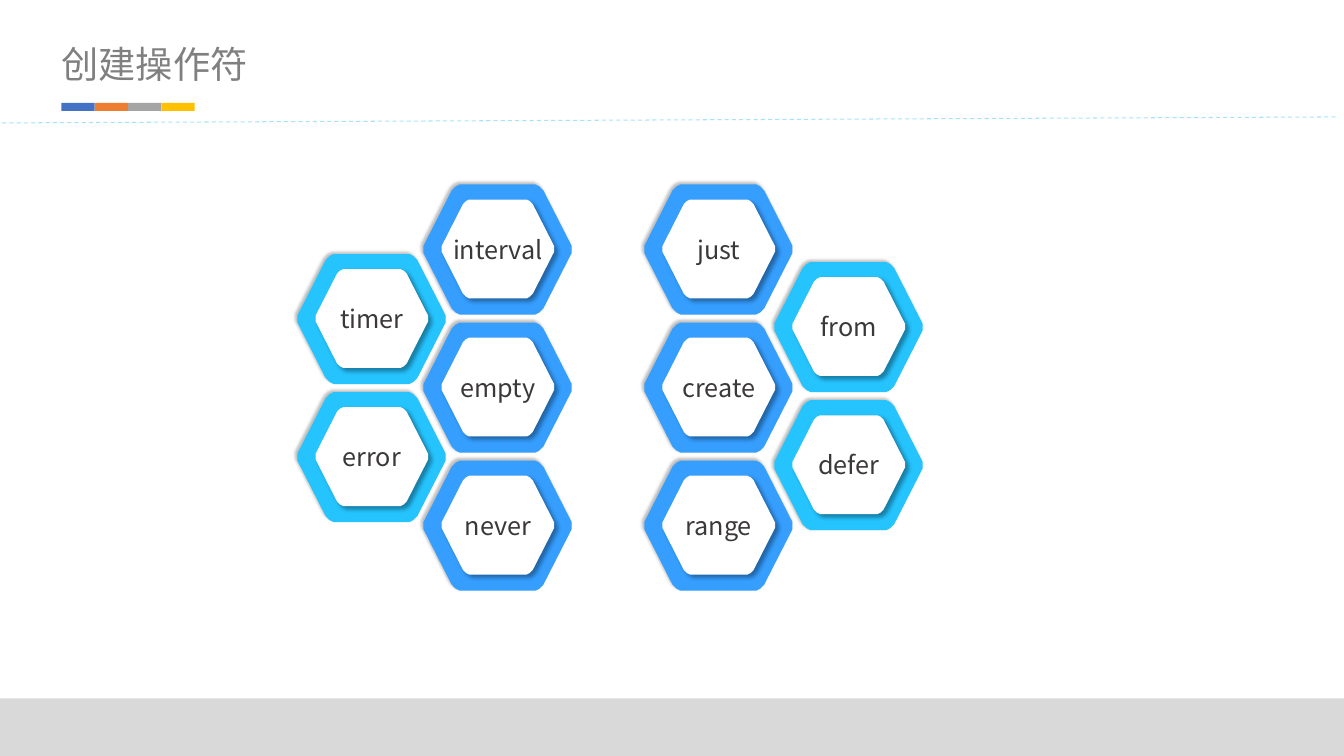
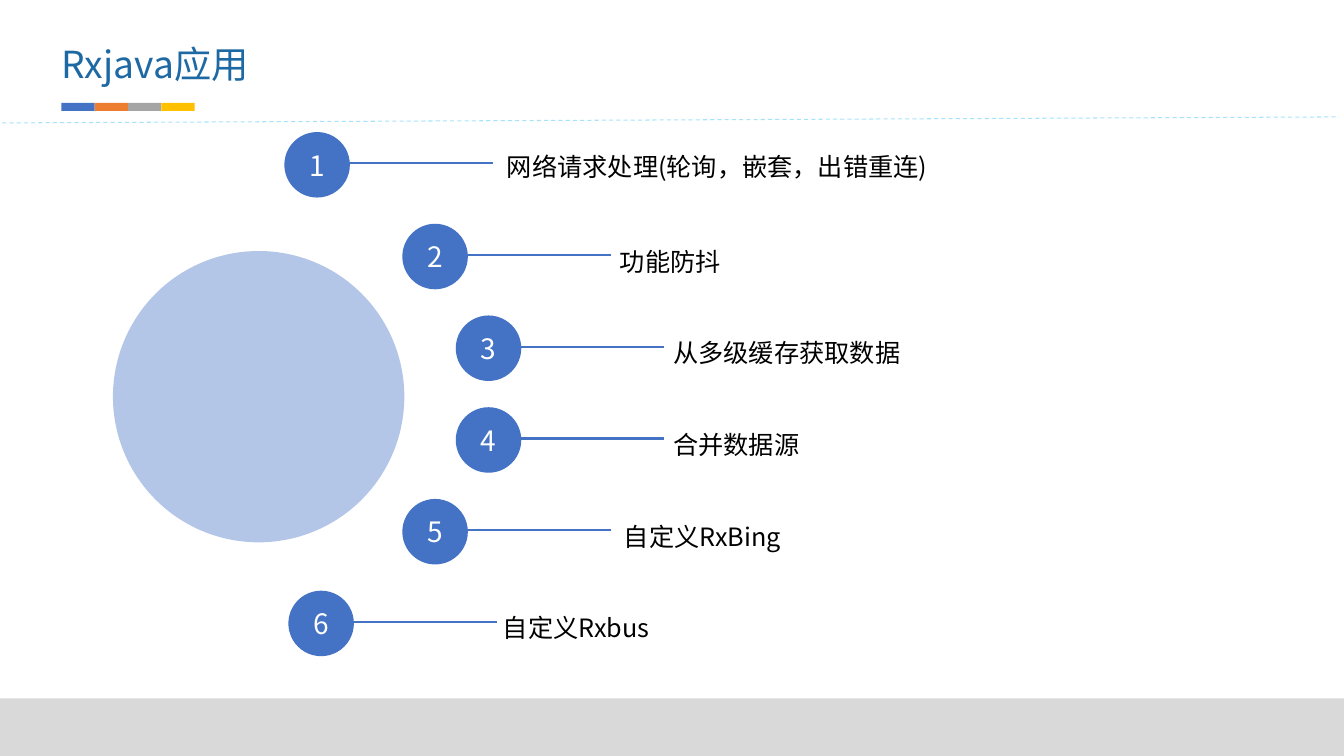
from dataclasses import dataclass

from lxml import etree
from pptx import Presentation
from pptx.dml.color import RGBColor
from pptx.enum.dml import MSO_LINE
from pptx.enum.shapes import MSO_CONNECTOR, MSO_SHAPE
from pptx.enum.text import MSO_ANCHOR, MSO_AUTO_SIZE, PP_ALIGN
from pptx.oxml.ns import qn
from pptx.util import Emu, Pt

RECTANGLE, OVAL = MSO_SHAPE.RECTANGLE, MSO_SHAPE.OVAL
STRAIGHT, DASH = MSO_CONNECTOR.STRAIGHT, MSO_LINE.DASH
LEFT, CENTER = PP_ALIGN.LEFT, PP_ALIGN.CENTER
TOP, MIDDLE = MSO_ANCHOR.TOP, MSO_ANCHOR.MIDDLE
FIT_SHAPE = MSO_AUTO_SIZE.SHAPE_TO_FIT_TEXT

# Scale: 100 px to the inch
EMU_PER_PX = 9144
PAGE_WIDTH, PAGE_HEIGHT = 1333, 750

# Shared look
FONT, NARROW_FONT = "Noto Sans CJK SC", "Arial Narrow"
WHITE, BLACK, GREY, DARK = "FFFFFF", "000000", "808080", "3B3838"
BAND, RULE, TITLE_BLUE = "D9D9D9", "00B0F0", "1D69A3"
BLUE, SKY, CYAN = "4472C4", "359EFF", "25C4FF"
STRIPES = (BLUE, "ED7D31", "A5A5A5", "FFC000")

# Hexagon geometry
HEX_WIDTH, HEX_HEIGHT, HEX_STEP = 147, 129, 137
INNER_SCALE, INNER_LEFT, INNER_TOP = 0.76, 18, 15
HEX_CORNER = [(0, 64), (0, 61), (28, 6), (32, 2), (36, 0)]

# Numbered list geometry
DISC_SIZE, ITEM_TOP, ITEM_STEP = 65, 131, 91


@dataclass(frozen=True)
class Shadow:
    opacity: int
    blur: int
    distance: int
    angle: int


@dataclass(frozen=True)
class HexColumn:
    left: int
    top: int
    color: str
    labels: tuple[str, ...]


@dataclass(frozen=True)
class Item:
    disc_left: int
    text_left: int
    text: str
    text_drop: int = 2


OUTER_SHADOW = Shadow(25, 2, 2, 225)
INNER_SHADOW = Shadow(35, 3, 3, 45)

HEX_COLUMNS = (
    HexColumn(639, 183, SKY, ("just", "create", "range")),
    HexColumn(768, 260, CYAN, ("from", "defer")),
    HexColumn(420, 183, SKY, ("interval", "empty", "never")),
    HexColumn(295, 252, CYAN, ("timer", "error")),
)

ITEMS = (
    Item(282, 493, "网络请求处理(轮询，嵌套，出错重连)", -1),
    Item(399, 605, "功能防抖"),
    Item(452, 658, "从多级缓存获取数据"),
    Item(452, 658, "合并数据源"),
    Item(399, 609, "自定义RxBing"),
    Item(286, 489, "自定义Rxbus"),
)


# Basic helpers
def px(length: float) -> Emu:
    return Emu(round(length * EMU_PER_PX))


def rgb(color: str) -> RGBColor:
    return RGBColor.from_string(color)


def paint(shape, color: str) -> None:
    shape.shadow.inherit = False
    shape.fill.solid()
    shape.fill.fore_color.rgb = rgb(color)
    shape.line.fill.background()


def set_opacity(item, percent: int) -> None:
    for color in item.element.spPr.iter(qn("a:srgbClr")):
        etree.SubElement(color, qn("a:alpha"), val=str(percent * 1000))


def cast_shadow(shape, shadow: Shadow) -> None:
    effects = shape.element.spPr.find(qn("a:effectLst"))
    outer = etree.SubElement(
        effects, qn("a:outerShdw"),
        blurRad=str(Pt(shadow.blur)), dist=str(Pt(shadow.distance)),
        dir=str(shadow.angle * 60000), algn="ctr", rotWithShape="0",
    )
    color = etree.SubElement(outer, qn("a:srgbClr"), val=BLACK)
    etree.SubElement(color, qn("a:alpha"), val=str(shadow.opacity * 1000))


def write(box, text: str, size: float, color: str, align=LEFT, font: str = FONT):
    frame = box.text_frame
    frame.text = text
    frame.word_wrap = True
    paragraph = frame.paragraphs[0]
    paragraph.alignment = align
    for span in paragraph.runs:
        span.font.name = font
        span.font.size = Pt(size)
        span.font.color.rgb = rgb(color)
        east_asian = etree.SubElement(span.font._element, qn("a:ea"))
        east_asian.set("typeface", FONT)
    return frame


def clear_margins(frame) -> None:
    frame.margin_left = frame.margin_right = 0
    frame.margin_top = frame.margin_bottom = 0


def write_centered(shape, text: str, size: float, color: str) -> None:
    frame = write(shape, text, size, color, CENTER)
    clear_margins(frame)
    frame.vertical_anchor = MIDDLE


def add_block(shapes, kind, left: int, top: int, width: int, height: int, color: str):
    block = shapes.add_shape(kind, px(left), px(top), px(width), px(height))
    paint(block, color)
    return block


def add_line(shapes, x1: int, y1: int, x2: int, y2: int, color: str, width: float):
    line = shapes.add_connector(STRAIGHT, px(x1), px(y1), px(x2), px(y2))
    line.line.color.rgb = rgb(color)
    line.line.width = Pt(width)
    etree.SubElement(line.element.spPr, qn("a:effectLst"))
    return line


# Shared parts: footer band, stripes, dashed rule and title
def dress_layout(page, layout) -> None:
    shapes = page.shapes
    parts = [add_block(shapes, RECTANGLE, 0, 693, PAGE_WIDTH, 57, BAND)]
    for index, color in enumerate(STRIPES):
        parts.append(add_block(shapes, RECTANGLE, 61 + index * 33, 102, 33, 8, color))
    rule = add_line(shapes, -5, 122, 1328, 116, RULE, 0.75)
    rule.line.dash_style = DASH
    set_opacity(rule, 34)
    for part in [*parts, rule]:
        layout.shapes.element.append(part.element)


def set_title(page, text: str, width: int, color: str, font: str = FONT) -> None:
    title = page.shapes.title
    title.left, title.top = px(61), px(41)
    title.width, title.height = px(width), px(45)
    frame = write(title, text, 26.6, color, font=font)
    clear_margins(frame)
    frame.vertical_anchor = TOP
    frame.auto_size = FIT_SHAPE


# Slide 1: hexagons
def hexagon_outline() -> list[tuple[int, int]]:
    sides = HEX_CORNER[1:]
    return [
        *HEX_CORNER,
        *((HEX_WIDTH - x, y) for x, y in reversed(HEX_CORNER)),
        *((HEX_WIDTH - x, HEX_HEIGHT - y) for x, y in sides),
        *((x, HEX_HEIGHT - y) for x, y in reversed(sides)),
    ]


def add_hexagon(shapes, left: int, top: int, scale: float, color: str, shadow: Shadow):
    start, *rest = hexagon_outline()
    builder = shapes.build_freeform(*start, scale=EMU_PER_PX * scale)
    builder.add_line_segments(rest, close=True)
    hexagon = builder.convert_to_shape(px(left), px(top))
    paint(hexagon, color)
    cast_shadow(hexagon, shadow)
    return hexagon


def add_hex_column(page, column: HexColumn) -> None:
    for row, label in enumerate(column.labels):
        top = column.top + row * HEX_STEP
        shapes = page.shapes.add_group_shape().shapes
        add_hexagon(shapes, column.left, top, 1, column.color, OUTER_SHADOW)
        inner = add_hexagon(shapes, column.left + INNER_LEFT, top + INNER_TOP,
                            INNER_SCALE, WHITE, INNER_SHADOW)
        write_centered(inner, label, 18, DARK)


# Slide 2: numbered items around a circle
def add_item(page, number: int, item: Item) -> None:
    top = ITEM_TOP + (number - 1) * ITEM_STEP
    shapes = page.shapes.add_group_shape().shapes
    disc = add_block(shapes, OVAL, item.disc_left, top, DISC_SIZE, DISC_SIZE, BLUE)
    write_centered(disc, str(number), 20, WHITE)
    box = shapes.add_textbox(px(item.text_left), px(top + item.text_drop), px(519), px(59))
    frame = write(box, item.text, 18, BLACK)
    frame.paragraphs[0].line_spacing = 1.5
    line_left, line_top = item.disc_left + 56, top + 31
    add_line(shapes, line_left, line_top, line_left + 151, line_top, BLUE, 1.5)


def main() -> None:
    deck = Presentation()
    deck.slide_width, deck.slide_height = px(PAGE_WIDTH), px(PAGE_HEIGHT)
    layout = deck.slide_layouts.get_by_name("Title Only")

    operators = deck.slides.add_slide(layout)
    dress_layout(operators, layout)
    set_title(operators, "创建操作符", 589, GREY, NARROW_FONT)
    for column in HEX_COLUMNS:
        add_hex_column(operators, column)

    uses = deck.slides.add_slide(layout)
    set_title(uses, "Rxjava应用", 915, TITLE_BLUE)
    circle = add_block(uses.shapes, OVAL, 112, 249, 289, 289, BLUE)
    set_opacity(circle, 40)
    for number, item in enumerate(ITEMS, start=1):
        add_item(uses, number, item)

    deck.save("out.pptx")


if __name__ == "__main__":
    main()
